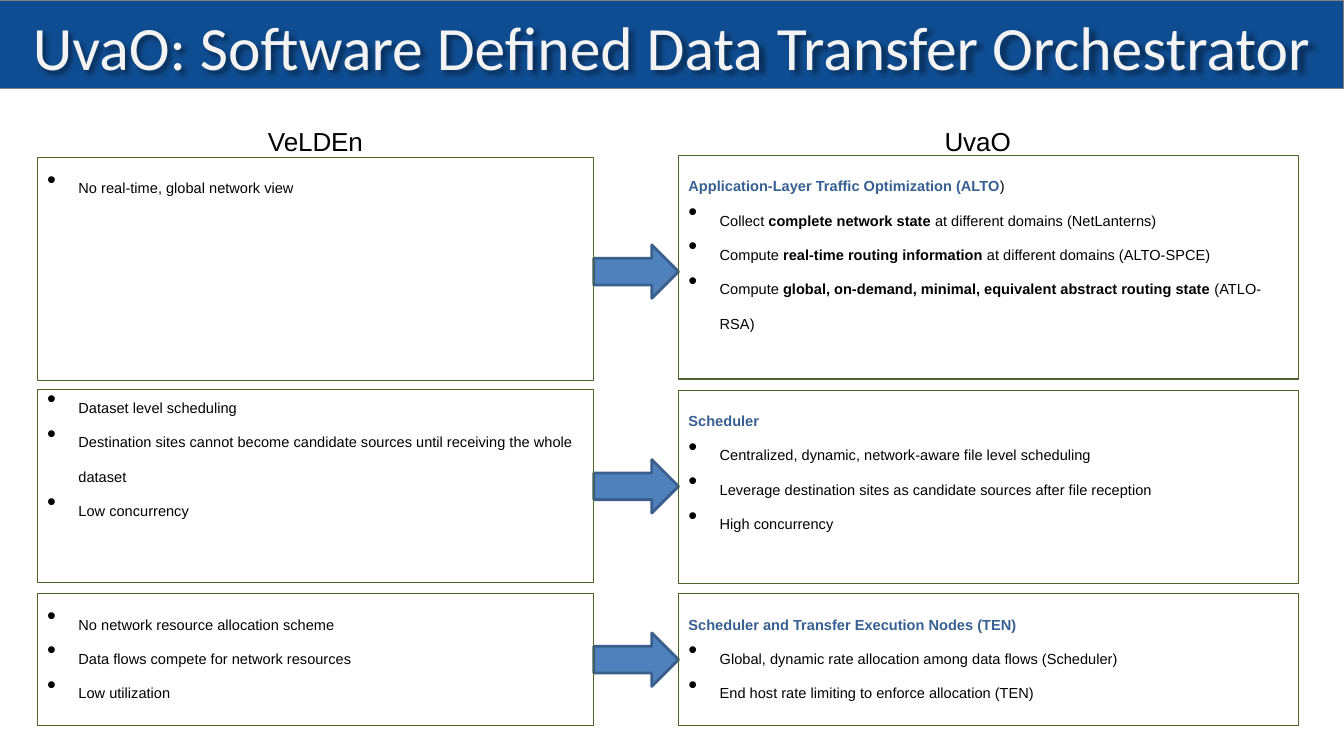
from lxml.etree import SubElement
from pptx import Presentation
from pptx.dml.color import RGBColor
from pptx.enum.shapes import MSO_SHAPE
from pptx.enum.text import MSO_ANCHOR, MSO_AUTO_SIZE, PP_ALIGN
from pptx.oxml.ns import qn
from pptx.util import Inches, Pt

NAVY = RGBColor(0x0F, 0x4D, 0x92)
GRAY = RGBColor(0x80, 0x80, 0x80)
PALE = RGBColor(0xF3, 0xF3, 0xF3)
BLUE = RGBColor(0x4F, 0x81, 0xBD)
EDGE = RGBColor(0x3A, 0x5F, 0x8C)
HEAD = RGBColor(0x37, 0x60, 0x92)
GREEN = RGBColor(0x4F, 0x62, 0x28)
BLACK = RGBColor(0, 0, 0)

WIDTH, HEIGHT = 13.33, 7.5
COLS = [(0.37, 5.52), (6.73, 6.15)]  # left, width
# Tops of the left and right boxes, height, top of the arrow
ROWS = [((1.56, 1.54), 2.22, 2.43),
        ((3.86, 3.87), 1.92, 4.56),
        ((5.89, 5.89), 1.31, 6.28)]

TITLE = "UvaO: Software Defined Data Transfer Orchestrator"
NAMES = [("VeLDEn", 2.56, 1.9), ("UvaO", 9.27, 1.32)]  # text, left, width
# Each row: left bullets, right heading, right bullets; asterisks enclose bold
CELLS = [
    (["No real-time, global network view"],
     "*Application-Layer Traffic Optimization (ALTO*)",
     ["Collect *complete network state *at different domains (NetLanterns)",
      "Compute *real-time routing information *at different domains (ALTO-SPCE)",
      "Compute *global, on-demand, minimal, equivalent abstract routing state*"
      " (ATLO-RSA)"]),
    (["Dataset level scheduling",
      "Destination sites cannot become candidate sources until receiving "
      "the whole dataset",
      "Low concurrency"],
     "*Scheduler*",
     ["Centralized, dynamic, network-aware file level scheduling",
      "Leverage destination sites as candidate sources after file reception",
      "High concurrency"]),
    (["No network resource allocation scheme",
      "Data flows compete for network resources",
      "Low utilization"],
     "*Scheduler and Transfer Execution Nodes (TEN)*",
     ["Global, dynamic rate allocation among data flows (Scheduler)",
      "End host rate limiting to enforce allocation (TEN)"]),
]


class Board:
    font = "Arial"
    size = 18
    drop = "-25000"
    dent = Inches(0.31)

    def __init__(self, slide):
        self.slide = slide

    def shape(self, kind, area, fill, line, weight):
        shape = self.slide.shapes.add_shape(kind, *map(Inches, area))
        shape.shadow.inherit = False
        if fill is None:
            shape.fill.background()
        else:
            shape.fill.solid()
            shape.fill.fore_color.rgb = fill
        shape.line.color.rgb = line
        shape.line.width = Pt(weight)
        return shape

    def run(self, para, text, size, color, bold=False):
        """Add a run set as a subscript, below the line of its bullet."""
        run = para.add_run()
        run.text = text
        run.font.name = self.font
        run.font.size = Pt(size)
        run.font.bold = bold
        run.font.color.rgb = color
        run.font._element.set("baseline", self.drop)

    def para(self, para, text, bullet):
        para.alignment = PP_ALIGN.LEFT
        if bullet:
            props = para._p.get_or_add_pPr()
            props.set("marL", str(self.dent))
            props.set("indent", str(-self.dent))
            SubElement(props, qn("a:buFont")).set("typeface", self.font)
            SubElement(props, qn("a:buChar")).set("char", "•")
        for i, part in enumerate(text.split("*")):
            bold = i % 2 == 1
            color = HEAD if bold and not bullet else BLACK
            if part:
                self.run(para, part, self.size, color, bold)

    def box(self, col, row, bullets, head=None):
        left, width = COLS[col]
        tops, height, _ = ROWS[row]
        shape = self.shape(MSO_SHAPE.RECTANGLE, (left, tops[col], width, height),
                           None, GREEN, 0.75)
        frame = shape.text_frame
        frame.word_wrap = True
        frame.vertical_anchor = MSO_ANCHOR.TOP
        lines = [(head, False)] if head else []
        lines += [(text, True) for text in bullets]
        for i, (text, bullet) in enumerate(lines):
            para = frame.add_paragraph() if i else frame.paragraphs[0]
            self.para(para, text, bullet)
        return frame

    def arrow(self, row):
        """Point from the left box of a row to its right box."""
        left = sum(COLS[0])
        area = (left, ROWS[row][2], COLS[1][0] - left, 0.53)
        self.shape(MSO_SHAPE.RIGHT_ARROW, area, BLUE, EDGE, 2)

    def name(self, text, left, width):
        area = map(Inches, (left, 0.9, width, 0.64))
        frame = self.slide.shapes.add_textbox(*area).text_frame
        frame.word_wrap = False
        self.run(frame.paragraphs[0], text, 32, BLACK)

    def shade(self, shape):
        """Give the text of an unfilled shape a soft shadow."""
        effect = SubElement(shape._element.spPr, qn("a:effectLst"))
        shade = SubElement(effect, qn("a:outerShdw"), blurRad="38100",
                           dist="38100", dir="2700000")
        tint = SubElement(shade, qn("a:srgbClr"), val="000000")
        SubElement(tint, qn("a:alpha"), val="43000")

    def title(self, text):
        self.shape(MSO_SHAPE.RECTANGLE, (0, 0, WIDTH, 0.88), NAVY, GRAY, 0.75)
        title = self.slide.shapes.title
        title.left, title.top = 0, Inches(0.03)
        title.width, title.height = Inches(WIDTH), Inches(0.84)
        title.fill.background()
        self.shade(title)
        title._element.getparent().append(title._element)
        frame = title.text_frame
        frame.auto_size = MSO_AUTO_SIZE.NONE
        frame.vertical_anchor = MSO_ANCHOR.MIDDLE
        para = frame.paragraphs[0]
        para.alignment = PP_ALIGN.CENTER
        run = para.add_run()
        run.text = text
        run.font.name = "Calibri"
        run.font.size = Pt(44)
        run.font.color.rgb = PALE


def main():
    deck = Presentation()
    deck.slide_width, deck.slide_height = Inches(WIDTH), Inches(HEIGHT)
    board = Board(deck.slides.add_slide(deck.slide_layouts[5]))
    board.title(TITLE)
    for row, (old, head, new) in enumerate(CELLS):
        board.arrow(row)
        frame = board.box(0, row, old)
        if row == 1:
            frame.vertical_anchor = MSO_ANCHOR.MIDDLE
            frame.margin_bottom = Inches(0.75)
        board.box(1, row, new, head)
    for name in NAMES:
        board.name(*name)
    deck.save("out.pptx")


if __name__ == "__main__":
    main()
